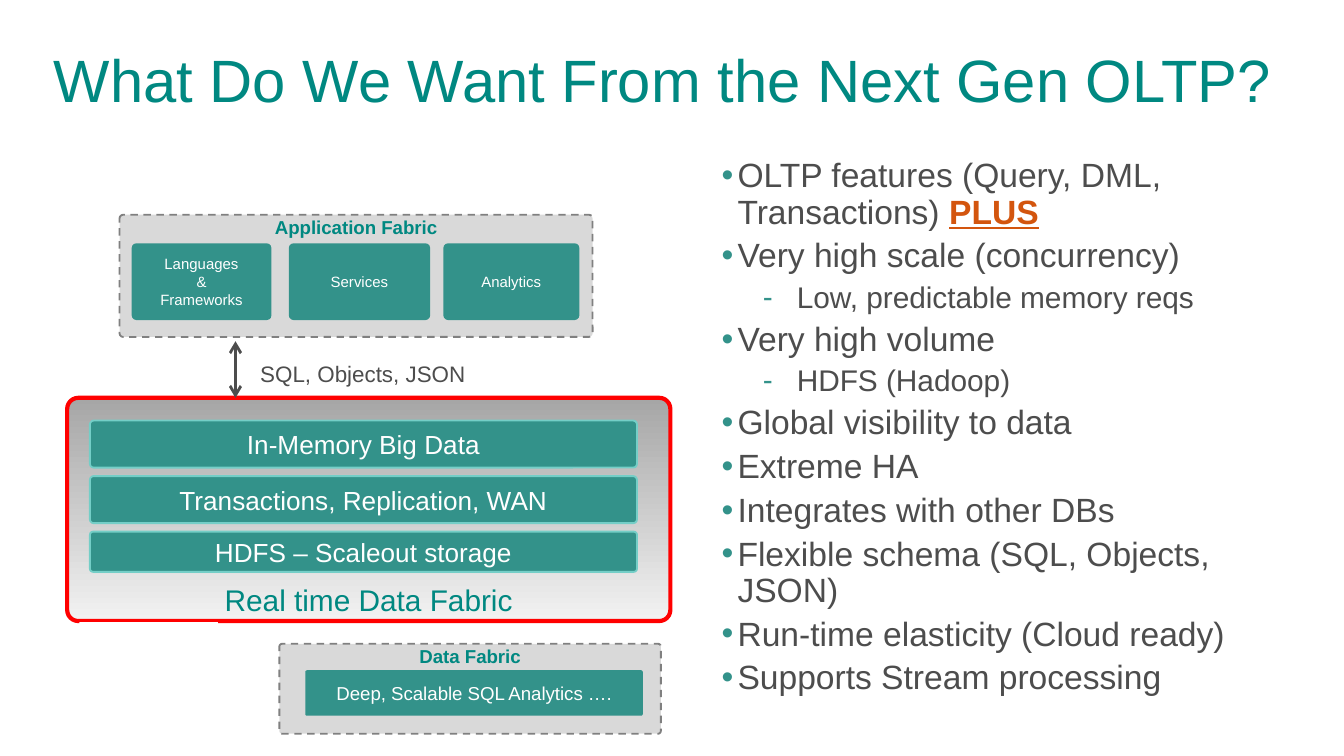
from dataclasses import dataclass
from typing import Optional

import lxml.etree
import pptx
import pptx.dml.color
import pptx.enum.dml
import pptx.enum.shapes
import pptx.enum.text
import pptx.oxml.ns
import pptx.util

Cm = pptx.util.Cm
Pt = pptx.util.Pt
Align = pptx.enum.text.PP_ALIGN
Anchor = pptx.enum.text.MSO_ANCHOR
Preset = pptx.enum.shapes.MSO_SHAPE


@dataclass(frozen=True)
class Theme:
    font: str = "Arial"
    heading: str = "008881"
    teal: str = "33928A"
    teal_edge: str = "74CEC7"
    panel: str = "D9D9D9"
    panel_edge: str = "808080"
    ink: str = "4D4D4D"
    accent: str = "D3550E"
    highlight: str = "FF0000"
    white: str = "FFFFFF"
    gradient: tuple = ("A6A6A6", "F2F2F2")
    title_size: int = 32
    bullet_size: int = 18
    detail_size: int = 16
    layer_size: int = 14
    label_size: int = 12
    panel_size: int = 10
    tile_size: int = 8


THEME = Theme()
NO_INSETS = (0, 0, 0, 0)
PANEL_INSETS = (0.25, 0, 0.25, 0.13)
BOX_INSETS = (0.25, 0.13, 0.25, 0.13)


@dataclass(frozen=True)
class Box:
    """A rounded box; lengths are in centimetres."""
    text: str
    left: float
    top: float
    width: float
    height: float
    size: int
    fill: Optional[str] = THEME.teal
    edge: Optional[str] = None
    edge_width: float = 1
    dashed: bool = False
    corner: float = 0.06
    color: str = THEME.white
    bold: bool = False
    anchor: Anchor = Anchor.MIDDLE
    insets: tuple = BOX_INSETS


@dataclass(frozen=True)
class Bullet:
    text: str
    emphasis: str = ""
    detail: bool = False


def rgb(value: str) -> pptx.dml.color.RGBColor:
    return pptx.dml.color.RGBColor.from_string(value)


def add_text(paragraph, text: str, *, size: int, color: str,
             bold: bool = False, underline: bool = False) -> None:
    run = paragraph.add_run()
    run.text = text
    run.font.name = THEME.font
    run.font.size = Pt(size)
    run.font.color.rgb = rgb(color)
    run.font.bold = bold
    run.font.underline = underline


def set_frame(frame, insets: tuple, anchor: Anchor, wrap: bool = True) -> None:
    frame.margin_left, frame.margin_top, frame.margin_right, frame.margin_bottom = map(Cm, insets)
    frame.vertical_anchor = anchor
    frame.word_wrap = wrap


def add_box(slide, box: Box):
    shape = slide.shapes.add_shape(Preset.ROUNDED_RECTANGLE, Cm(box.left), Cm(box.top),
                                   Cm(box.width), Cm(box.height))
    shape.shadow.inherit = False
    shape.adjustments[0] = box.corner
    if box.fill:
        shape.fill.solid()
        shape.fill.fore_color.rgb = rgb(box.fill)
    else:
        shape.fill.gradient()
        shape.fill.gradient_angle = 270
        for stop, position, color in zip(shape.fill.gradient_stops, (0, 1), THEME.gradient):
            stop.position = position
            stop.color.rgb = rgb(color)
    if box.edge:
        shape.line.color.rgb = rgb(box.edge)
        shape.line.width = Pt(box.edge_width)
        if box.dashed:
            shape.line.dash_style = pptx.enum.dml.MSO_LINE.DASH
    else:
        shape.line.fill.background()
    frame = shape.text_frame
    set_frame(frame, box.insets, box.anchor)
    for index, line in enumerate(box.text.split("\n")):
        paragraph = frame.add_paragraph() if index else frame.paragraphs[0]
        paragraph.alignment = Align.CENTER
        add_text(paragraph, line, size=box.size, color=box.color, bold=box.bold)
    return shape


def add_panel(slide, text: str, left: float, top: float, width: float, height: float) -> None:
    add_box(slide, Box(text, left, top, width, height, THEME.panel_size, fill=THEME.panel,
                       edge=THEME.panel_edge, dashed=True, corner=0.03, color=THEME.heading,
                       bold=True, anchor=Anchor.TOP, insets=PANEL_INSETS))


def add_double_arrow(slide, x: float, top: float, bottom: float) -> None:
    connector = slide.shapes.add_connector(pptx.enum.shapes.MSO_CONNECTOR.STRAIGHT,
                                           Cm(x), Cm(top), Cm(x), Cm(bottom))
    connector.line.color.rgb = rgb(THEME.ink)
    connector.line.width = Pt(1.5)
    line = connector.line._get_or_add_ln()
    for end in ("a:headEnd", "a:tailEnd"):
        lxml.etree.SubElement(line, pptx.oxml.ns.qn(end), type="arrow")
    lxml.etree.SubElement(connector._element.spPr, pptx.oxml.ns.qn("a:effectLst"))


def add_bullet(paragraph, bullet: Bullet, first: bool) -> None:
    properties = paragraph._p.get_or_add_pPr()
    margin, indent = (1.42, -0.64) if bullet.detail else (0.3, -0.3)
    properties.set("marL", str(Cm(margin)))
    properties.set("indent", str(Cm(indent)))
    color = lxml.etree.SubElement(properties, pptx.oxml.ns.qn("a:buClr"))
    lxml.etree.SubElement(color, pptx.oxml.ns.qn("a:srgbClr"), val=THEME.teal)
    lxml.etree.SubElement(properties, pptx.oxml.ns.qn("a:buFont"), typeface=THEME.font)
    lxml.etree.SubElement(properties, pptx.oxml.ns.qn("a:buChar"),
                          char="-" if bullet.detail else "•")
    paragraph.level = 2 if bullet.detail else 1
    paragraph.line_spacing = 0.9
    paragraph.space_before = Pt(0 if first else 4)
    size = THEME.detail_size if bullet.detail else THEME.bullet_size
    add_text(paragraph, bullet.text, size=size, color=THEME.ink)
    if bullet.emphasis:
        add_text(paragraph, bullet.emphasis, size=size, color=THEME.accent,
                 bold=True, underline=True)


BULLETS = (
    Bullet("OLTP features (Query, DML, Transactions) ", emphasis="PLUS"),
    Bullet("Very high scale (concurrency)"),
    Bullet("Low, predictable memory reqs", detail=True),
    Bullet("Very high volume"),
    Bullet("HDFS (Hadoop)", detail=True),
    Bullet("Global visibility to data"),
    Bullet("Extreme HA"),
    Bullet("Integrates with other DBs"),
    Bullet("Flexible schema (SQL, Objects, JSON)"),
    Bullet("Run-time elasticity (Cloud ready)"),
    Bullet("Supports Stream processing"),
)
LAYERS = (("In-Memory Big Data", 0.89), ("Transactions, Replication, WAN", 0.89),
          ("HDFS – Scaleout storage", 0.76))
TILES = (("Languages\n&\nFrameworks", 2.49, 2.64), ("Services", 5.46, 2.67),
         ("Analytics", 8.38, 2.57))


def main() -> None:
    presentation = pptx.Presentation()
    presentation.slide_width, presentation.slide_height = Cm(25.4), Cm(14.29)
    slide = presentation.slides.add_slide(presentation.slide_layouts[5])

    # Title
    title = slide.shapes.title
    title.left, title.top, title.width, title.height = Cm(1.02), Cm(0.91), Cm(23.37), Cm(1.27)
    set_frame(title.text_frame, NO_INSETS, Anchor.BOTTOM)
    heading = title.text_frame.paragraphs[0]
    heading.alignment = Align.LEFT
    heading.line_spacing = 0.9
    add_text(heading, "What Do We Want From the Next Gen OLTP?",
             size=THEME.title_size, color=THEME.heading)

    # Data fabric
    add_panel(slide, "Data Fabric", 5.28, 12.17, 7.21, 1.7)
    add_box(slide, Box("Deep, Scalable SQL Analytics ….", 5.77, 12.67, 6.38, 0.86,
                       THEME.panel_size, corner=0.04))

    # Real time data fabric and its layers
    add_box(slide, Box("Real time Data Fabric", 1.27, 7.52, 11.4, 4.22, THEME.detail_size,
                       fill=None, edge=THEME.highlight, edge_width=2.25, corner=0.05,
                       color=THEME.heading, anchor=Anchor.BOTTOM, insets=(0.25, 0, 0.25, 0)))
    for index, (text, height) in enumerate(LAYERS):
        add_box(slide, Box(text, 1.7, 7.95 + 1.05 * index, 10.34, height, THEME.layer_size,
                           edge=THEME.teal_edge, corner=0.08))

    # Application fabric and its tiles
    add_panel(slide, "Application Fabric", 2.26, 4.06, 8.94, 2.31)
    for text, left, width in TILES:
        add_box(slide, Box(text, left, 4.6, width, 1.45, THEME.tile_size, insets=NO_INSETS))

    # White block that trims the lower edge of the red frame
    block = slide.shapes.add_shape(Preset.RECTANGLE, Cm(1.5), Cm(11.76), Cm(2.62), Cm(2.06))
    block.shadow.inherit = False
    block.fill.solid()
    block.fill.fore_color.rgb = rgb(THEME.white)
    block.line.fill.background()

    # Interface between the fabrics
    add_double_arrow(slide, 4.45, 6.45, 7.52)
    label = slide.shapes.add_textbox(Cm(4.65), Cm(6.68), Cm(4.42), Cm(0.76)).text_frame
    set_frame(label, BOX_INSETS, Anchor.TOP, wrap=False)
    label.auto_size = pptx.enum.text.MSO_AUTO_SIZE.SHAPE_TO_FIT_TEXT
    label.paragraphs[0].alignment = Align.CENTER
    add_text(label.paragraphs[0], "SQL, Objects, JSON", size=THEME.label_size, color=THEME.ink)

    # Wish list
    wishes = slide.shapes.add_textbox(Cm(12.95), Cm(2.72), Cm(12.07), Cm(10.74)).text_frame
    set_frame(wishes, (0.69, 0.36, 0.69, 0.36), Anchor.MIDDLE)
    for index, bullet in enumerate(BULLETS):
        paragraph = wishes.add_paragraph() if index else wishes.paragraphs[0]
        add_bullet(paragraph, bullet, first=index == 0)

    presentation.save("out.pptx")


if __name__ == "__main__":
    main()
